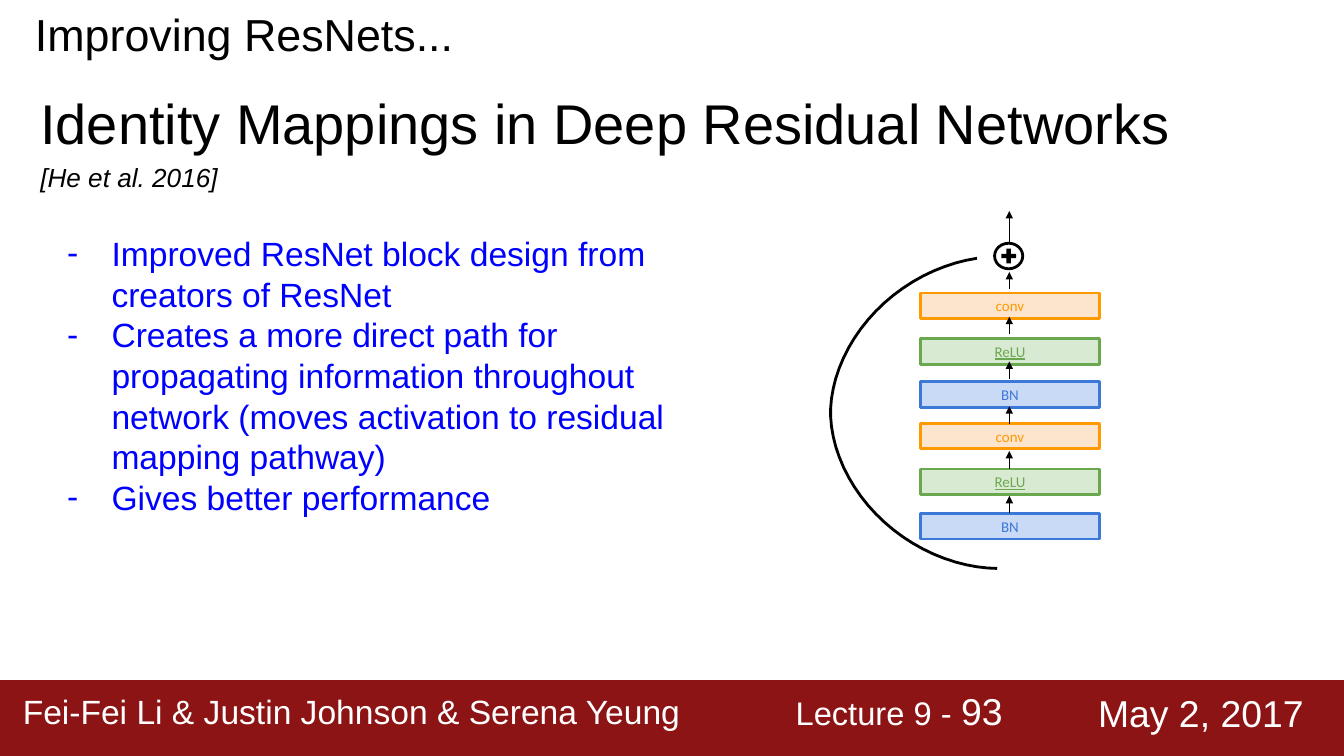
import math

import pptx
import pptx.dml.color
import pptx.enum.shapes
import pptx.enum.text
import pptx.oxml
import pptx.oxml.ns
import pptx.util
from pptx.util import Inches

RGBColor = pptx.dml.color.RGBColor
SHAPE = pptx.enum.shapes.MSO_SHAPE
ALIGN = pptx.enum.text.PP_ALIGN
ANCHOR = pptx.enum.text.MSO_ANCHOR

BLACK = RGBColor(0x00, 0x00, 0x00)
WHITE = RGBColor(0xFF, 0xFF, 0xFF)
BLUE = RGBColor(0x00, 0x00, 0xFF)
CARDINAL = RGBColor(0x8C, 0x14, 0x14)
ORANGE, PALE_ORANGE = RGBColor(0xFF, 0x99, 0x00), RGBColor(0xFC, 0xE4, 0xCD)
GREEN, PALE_GREEN = RGBColor(0x6A, 0xA8, 0x4F), RGBColor(0xD9, 0xEA, 0xD3)
AZURE, PALE_AZURE = RGBColor(0x3C, 0x78, 0xD8), RGBColor(0xC9, 0xDA, 0xF7)


def place(shape, left, top, width, height, wrap=True):
    """Move a text shape and strip its insets; return its text frame."""
    shape.left, shape.top = Inches(left), Inches(top)
    shape.width, shape.height = Inches(width), Inches(height)
    frame = shape.text_frame
    frame.word_wrap = wrap
    frame.auto_size = pptx.enum.text.MSO_AUTO_SIZE.NONE
    frame.vertical_anchor = ANCHOR.TOP
    frame.margin_left = frame.margin_right = 0
    frame.margin_top = frame.margin_bottom = 0
    return frame


def add_run(paragraph, text, size, color, font="Arial"):
    run = paragraph.add_run()
    run.text = text
    run.font.name = font
    run.font.size = pptx.util.Pt(size)
    run.font.color.rgb = color
    return run


prs = pptx.Presentation()
prs.slide_width, prs.slide_height = Inches(10), Inches(10 * 9 / 16)
slide = prs.slides.add_slide(prs.slide_layouts[1])
shapes = slide.shapes

# Title, paper heading and key points
heading = place(shapes.title, 0.26, 0.05, 3.14, 0.43, wrap=False).paragraphs[0]
heading.alignment = ALIGN.LEFT
add_run(heading, "Improving ResNets...", 24, BLACK)

paper = place(shapes.add_textbox(0, 0, 0, 0), 0.3, 0.66, 8.43, 0.79, wrap=False)
add_run(paper.paragraphs[0], "Identity Mappings in Deep Residual Networks", 30, BLACK)
citation = paper.add_paragraph()
citation.space_before = pptx.util.Pt(2.9)
add_run(citation, "[He et al. 2016]", 14, BLACK).font.italic = True

key_points = [
    "Improved ResNet block design from creators of ResNet",
    "Creates a more direct path for propagating information throughout "
    "network (moves activation to residual mapping pathway)",
    "Gives better performance",
]
points = place(slide.placeholders[1], 0.48, 1.73, 4.5, 2.14)
for i, text in enumerate(key_points):
    point = points.paragraphs[0] if i == 0 else points.add_paragraph()
    properties = point._p.get_or_add_pPr()
    properties.set("marL", str(Inches(0.35)))
    properties.set("indent", str(Inches(-0.33)))
    bullet = pptx.oxml.parse_xml(f'<a:buChar {pptx.oxml.ns.nsdecls("a")} char="-"/>')
    properties.append(bullet)
    point.space_before = pptx.util.Pt(0)
    point.line_spacing = 1.01
    add_run(point, text, 18, BLUE)

# Skip connection: a slightly flattened elliptical arc round the left of the block
skip = []
for angle in range(90, 263, 4):
    across, down = math.cos(math.radians(angle)), math.sin(math.radians(angle))
    x = 7.42 + 1.24 * math.copysign(abs(across) ** 1.07, across)
    y = 3.07 + 1.16 * math.copysign(abs(down) ** 1.07, down)
    skip.append((Inches(x), Inches(y)))
builder = shapes.build_freeform(*skip[0])
builder.add_line_segments(skip[1:], close=False)
skip_path = builder.convert_to_shape()
skip_path.shadow.inherit = False
skip_path.fill.background()
skip_path.line.color.rgb = BLACK
skip_path.line.width = pptx.util.Pt(1.5)

# Layers of the residual block, from the top down
conv = ("conv", ORANGE, PALE_ORANGE)
relu = ("ReLU", GREEN, PALE_GREEN)
bn = ("BN", AZURE, PALE_AZURE)
layer_tops = [2.18, 2.52, 2.84, 3.15, 3.49, 3.82]
for top, (label, color, pale) in zip(layer_tops, [conv, relu, bn] * 2):
    layer = shapes.add_shape(SHAPE.RECTANGLE, Inches(6.85), Inches(top),
                             Inches(1.33), Inches(0.19))
    layer.shadow.inherit = False
    layer.fill.solid()
    layer.fill.fore_color.rgb = pale
    layer.line.color.rgb = color
    layer.line.width = pptx.util.Pt(1.5)
    frame = place(layer, 6.85, top, 1.33, 0.19)
    frame.vertical_anchor = ANCHOR.MIDDLE
    frame.paragraphs[0].alignment = ALIGN.CENTER
    add_run(frame.paragraphs[0], label, 8, color, "Calibri").font.underline = label == "ReLU"

# Addition node
ring = shapes.add_shape(SHAPE.OVAL, Inches(7.4), Inches(1.81), Inches(0.21), Inches(0.19))
ring.shadow.inherit = False
ring.fill.background()
ring.line.color.rgb = BLACK
ring.line.width = pptx.util.Pt(1.5)
plus = shapes.add_shape(SHAPE.CROSS, Inches(7.45), Inches(1.85), Inches(0.11), Inches(0.11))
plus.shadow.inherit = False
plus.adjustments[0] = 0.35
plus.fill.solid()
plus.fill.fore_color.rgb = BLACK
plus.line.fill.background()

# Upward arrows: one under each layer step, and the output
namespace = pptx.oxml.ns.nsdecls("a")
steps = [(3.82 - i / 3, 3.69 - i / 3) for i in range(6)]
for start, end in steps + [(1.81, 1.57)]:
    arrow = shapes.add_connector(pptx.enum.shapes.MSO_CONNECTOR.STRAIGHT, Inches(7.51),
                                 Inches(start), Inches(7.51), Inches(end))
    arrow.line.color.rgb = BLACK
    arrow.line.width = pptx.util.Pt(0.75)
    arrow.line._get_or_add_ln().append(pptx.oxml.parse_xml(
        f'<a:tailEnd {namespace} type="triangle" w="sm" len="sm"/>'))
    arrow._element.spPr.append(pptx.oxml.parse_xml(f"<a:effectLst {namespace}/>"))

# Footer
band = shapes.add_shape(SHAPE.RECTANGLE, 0, Inches(5.06), Inches(10),
                        prs.slide_height - Inches(5.06))
band.shadow.inherit = False
band.fill.solid()
band.fill.fore_color.rgb = CARDINAL
band.line.fill.background()

footer = [
    (0.17, 5.15, 4.94, 20.9, [("Fei-Fei Li & Justin Johnson & Serena Yeung", 18)]),
    (5.92, 5.12, 1.77, 23.8, [("Lecture 9 - ", 17.5), ("93", 20)]),
    (8.17, 5.15, 1.56, 23.1, [("May 2, 2017", 20)]),
]
for left, top, width, spacing, runs in footer:
    line = place(shapes.add_textbox(0, 0, 0, 0), left, top, width, 0.34, wrap=False).paragraphs[0]
    line.line_spacing = pptx.util.Pt(spacing)
    for text, size in runs:
        add_run(line, text, size, WHITE)

prs.save("out.pptx")
